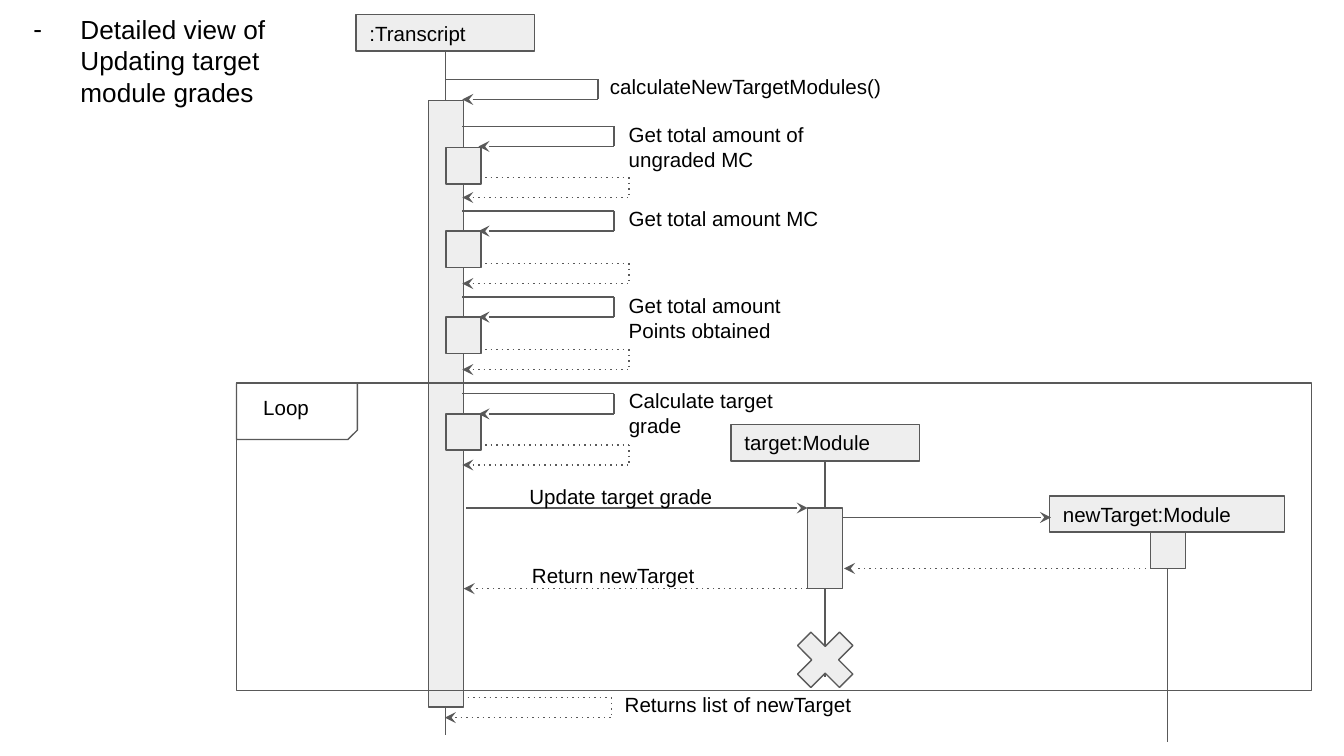
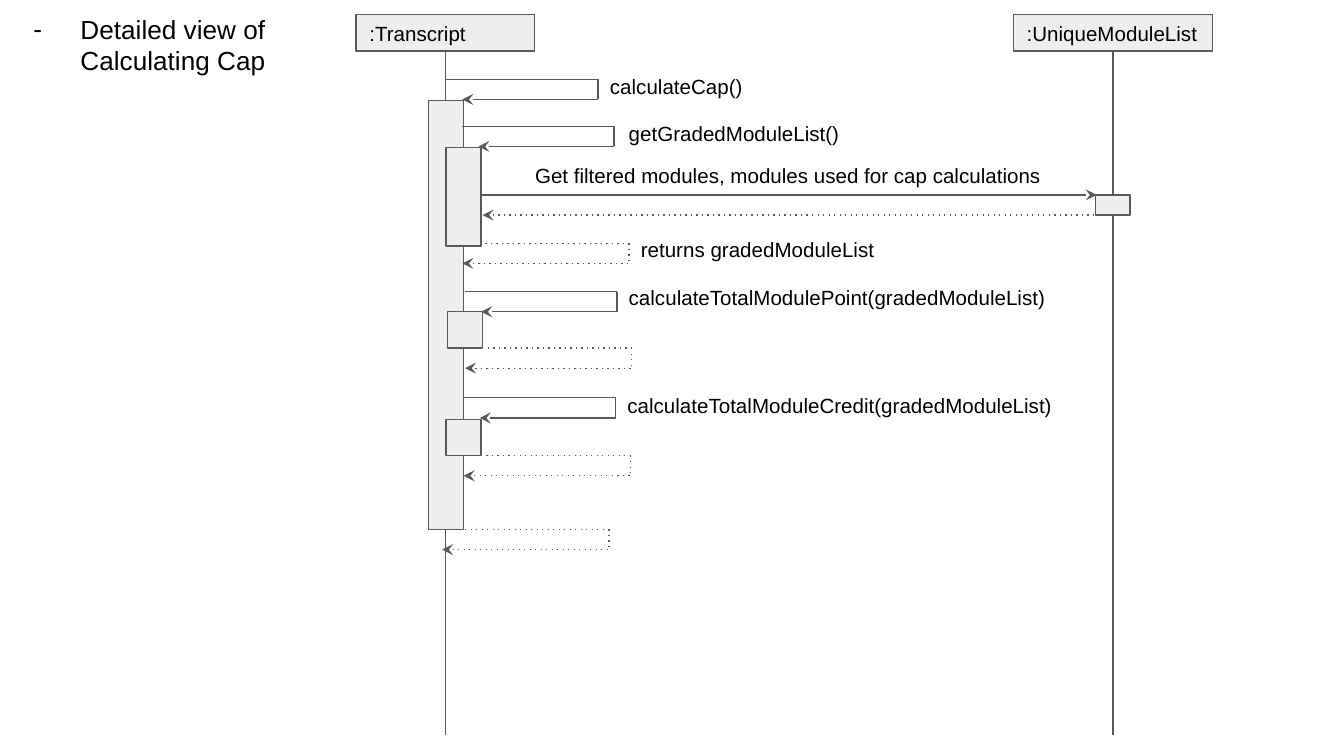
import lxml.etree
import pptx
import pptx.dml.color
import pptx.enum.shapes
import pptx.enum.text
import pptx.oxml.ns
import pptx.util

Inches = pptx.util.Inches
Preset = pptx.enum.shapes.MSO_SHAPE
Align = pptx.enum.text.PP_ALIGN
Anchor = pptx.enum.text.MSO_ANCHOR
qn = pptx.oxml.ns.qn

INK, OUTLINE, PANEL = "000000", "595959", "EEEEEE"
BAR_WIDTH = 0.26
TURN_HEIGHT = 0.15
CALL_SHAPE = (0, 1.13, 0.12)
RETURN_SHAPE = (0.17, 1.24, 0)


def rgb(value):
    return pptx.dml.color.RGBColor.from_string(value)


def connect(shapes, x1, y1, x2, y2, dotted=False, arrow=None):
    connector = shapes.add_connector(
        pptx.enum.shapes.MSO_CONNECTOR.STRAIGHT,
        Inches(x1), Inches(y1), Inches(x2), Inches(y2))
    connector.line.color.rgb = rgb(OUTLINE)
    connector.line.width = pptx.util.Pt(0.75)
    stroke = connector.line._get_or_add_ln()
    if dotted:
        lxml.etree.SubElement(stroke, qn("a:prstDash"), val="dot")
    if arrow:
        lxml.etree.SubElement(stroke, qn("a:" + arrow), type="stealth")
    lxml.etree.SubElement(connector.element.spPr, qn("a:effectLst"))
    return connector


diagrams = [
    {
        "title": ["Detailed view of \nUpdating target", "module grades"],
        "participants": [
            (2.65, 0.11, 1.33, ":Transcript", 5.47),
            (5.44, 3.16, 1.4, "target:Module", 5.04),
            (7.81, 3.69, 1.75, "newTarget:Module", 5.52),
        ],
        "activations": [
            (3.19, 0.75, 4.51), (3.32, 1.1, 0.27), (3.32, 1.72, 0.27),
            (3.32, 2.36, 0.27), (3.32, 3.08, 0.27),
            (6.01, 3.78, 0.6), (8.56, 3.96, 0.27),
        ],
        "markers": [
            (Preset.RECTANGLE, 1.76, 2.85, 8, 2.29, None, None),
            (Preset.SNIP_1_RECTANGLE, 1.76, 2.85, 0.9, 0.42, None, 0.167),
            (Preset.MATH_MULTIPLY, 5.84, 4.61, 0.6, 0.6, PANEL, 0.235),
        ],
        "calls": [(3.32, 0.59), (3.44, 0.94), (3.44, 1.57), (3.44, 2.21), (3.44, 2.93)],
        "returns": [(3.44, 1.32), (3.44, 1.96), (3.44, 2.6), (3.44, 3.31), (3.31, 5.19)],
        "messages": [
            (3.47, 3.78, 6.01, 3.78, False, "tailEnd", None),
            (6.01, 4.38, 3.45, 4.38, True, "tailEnd", None),
            (6.27, 3.85, 7.82, 3.85, False, "tailEnd", None),
            (8.69, 4.23, 6.28, 4.23, True, "tailEnd", 6),
        ],
        "labels": [
            (4.44, 0.46, 2.26, 0.6, "calculateNewTargetModules()", Align.LEFT),
            (4.58, 0.81, 2.26, 0.42, "Get total amount of \nungraded MC", Align.LEFT),
            (4.58, 1.44, 2.26, 0.42, "Get total amount MC", Align.LEFT),
            (4.58, 2.08, 2.26, 0.42, "Get total amount \nPoints obtained", Align.LEFT),
            (1.86, 2.85, 0.7, 0.42, "Loop", Align.LEFT),
            (4.58, 2.79, 1.69, 0.42, "Calculate target grade", Align.LEFT),
            (3.84, 3.51, 1.6, 0.27, "Update target grade", Align.LEFT),
            (3.86, 4.1, 1.6, 0.27, "Return newTarget", Align.LEFT),
            (4.55, 5.06, 2.26, 0.42, "Returns list of newTarget", Align.LEFT),
        ],
    },
    {
        "title": ["Detailed view of \nCalculating Cap"],
        "participants": [
            (2.65, 0.11, 1.33, ":Transcript", 5.47),
            (7.54, 0.11, 1.48, ":UniqueModuleList", 5.47),
        ],
        "activations": [
            (3.19, 0.75, 3.19), (3.32, 1.1, 0.73), (8.15, 1.45, 0.15),
            (3.33, 2.32, 0.27), (3.32, 3.12, 0.27),
        ],
        "markers": [],
        "calls": [(3.32, 0.59), (3.44, 0.94), (3.46, 2.17), (3.45, 2.96)],
        "returns": [(3.44, 1.81), (3.46, 2.59), (3.45, 3.39), (3.29, 3.94)],
        "messages": [
            (3.59, 1.45, 8.16, 1.45, False, "tailEnd", None),
            (3.59, 1.6, 8.16, 1.6, True, "headEnd", None),
        ],
        "labels": [
            (4.44, 0.46, 2.26, 0.6, "calculateCap()", Align.LEFT),
            (4.58, 0.81, 2.26, 0.42, "getGradedModuleList()", Align.LEFT),
            (3.78, 1.12, 4.17, 0.42,
             "Get filtered modules, modules used for cap calculations", Align.CENTER),
            (4.67, 1.67, 2.26, 0.42, "returns gradedModuleList", Align.LEFT),
            (4.58, 2.03, 3.43, 0.42, "calculateTotalModulePoint(gradedModuleList)", Align.LEFT),
            (4.57, 2.83, 3.43, 0.42, "calculateTotalModuleCredit(gradedModuleList)", Align.LEFT),
        ],
    },
]

deck = pptx.Presentation()
deck.slide_width = Inches(10)
deck.slide_height = Inches(10 * 9 / 16)

for diagram in diagrams:
    slide = deck.slides.add_slide(deck.slide_layouts[6])
    panels = []
    wordings = []

    for left, top, width, name, life_end in diagram["participants"]:
        header = slide.shapes.add_shape(
            Preset.RECTANGLE, Inches(left), Inches(top), Inches(width), Inches(0.27))
        panels.append((header, PANEL))
        wordings.append((header, [name], 11, Align.LEFT, Anchor.MIDDLE))
        center = left + width / 2
        lifeline = connect(slide.shapes, center, top + 0.27, center, life_end)
        lifeline.begin_connect(header, 2)

    bars = []
    for left, top, height in diagram["activations"]:
        bar = slide.shapes.add_shape(
            Preset.RECTANGLE, Inches(left), Inches(top), Inches(BAR_WIDTH), Inches(height))
        bars.append(bar)
        panels.append((bar, PANEL))

    for preset, left, top, width, height, fill, adjustment in diagram["markers"]:
        marker = slide.shapes.add_shape(
            preset, Inches(left), Inches(top), Inches(width), Inches(height))
        panels.append((marker, fill))
        if adjustment:
            marker.adjustments[0] = adjustment
        if preset == Preset.SNIP_1_RECTANGLE:
            marker.rotation = 180
            marker.element.spPr.xfrm.set("flipH", "1")

    for panel, fill in panels:
        panel.shadow.inherit = False
        panel.line.color.rgb = rgb(OUTLINE)
        panel.line.width = pptx.util.Pt(0.75)
        if fill:
            panel.fill.solid()
            panel.fill.fore_color.rgb = rgb(fill)
        else:
            panel.fill.background()

    for turns, (start, reach, end), dotted in (
            (diagram["calls"], CALL_SHAPE, False),
            (diagram["returns"], RETURN_SHAPE, True)):
        for x, y in turns:
            turn = slide.shapes.add_group_shape().shapes
            below = y + TURN_HEIGHT
            connect(turn, x + start, y, x + reach, y, dotted)
            connect(turn, x + reach, y, x + reach, below, dotted)
            connect(turn, x + end, below, x + reach, below, dotted, "headEnd")

    for x1, y1, x2, y2, dotted, arrow, sender in diagram["messages"]:
        message = connect(slide.shapes, x1, y1, x2, y2, dotted, arrow)
        if sender is not None:
            message.begin_connect(bars[sender], 2)

    for left, top, width, height, wording, align in diagram["labels"]:
        label = slide.shapes.add_textbox(
            Inches(left), Inches(top), Inches(width), Inches(height))
        wordings.append((label, [wording], 11, align, Anchor.TOP))

    title = slide.shapes.add_textbox(0, 0, Inches(2.41), Inches(0.73))
    wordings.append((title, diagram["title"], 14, Align.LEFT, Anchor.TOP))

    for holder, lines, size, align, anchor in wordings:
        frame = holder.text_frame
        frame_format = {"word_wrap": True, "vertical_anchor": anchor}
        for side in ("left", "top", "right", "bottom"):
            frame_format["margin_" + side] = Inches(0.1)
        for key, value in frame_format.items():
            setattr(frame, key, value)
        for index, line in enumerate(lines):
            paragraph = frame.add_paragraph() if index else frame.paragraphs[0]
            paragraph.text = line
            paragraph.alignment = align
            if holder is title:
                properties = paragraph._p.get_or_add_pPr()
                properties.set("marL", str(Inches(0.5)))
                properties.set("indent", str(0 if index else Inches(-0.35)))
                if index:
                    lxml.etree.SubElement(properties, qn("a:buNone"))
                else:
                    bullet_color = lxml.etree.SubElement(properties, qn("a:buClr"))
                    lxml.etree.SubElement(bullet_color, qn("a:srgbClr"), val=INK)
                    lxml.etree.SubElement(properties, qn("a:buSzPts"), val=str(size * 100))
                    lxml.etree.SubElement(properties, qn("a:buFont"), typeface="Arial")
                    lxml.etree.SubElement(properties, qn("a:buChar"), char="-")
            for font in [paragraph.font] + [run.font for run in paragraph.runs]:
                for key, value in {"name": "Arial", "size": pptx.util.Pt(size)}.items():
                    setattr(font, key, value)
                font.color.rgb = rgb(INK)

deck.save("out.pptx")
